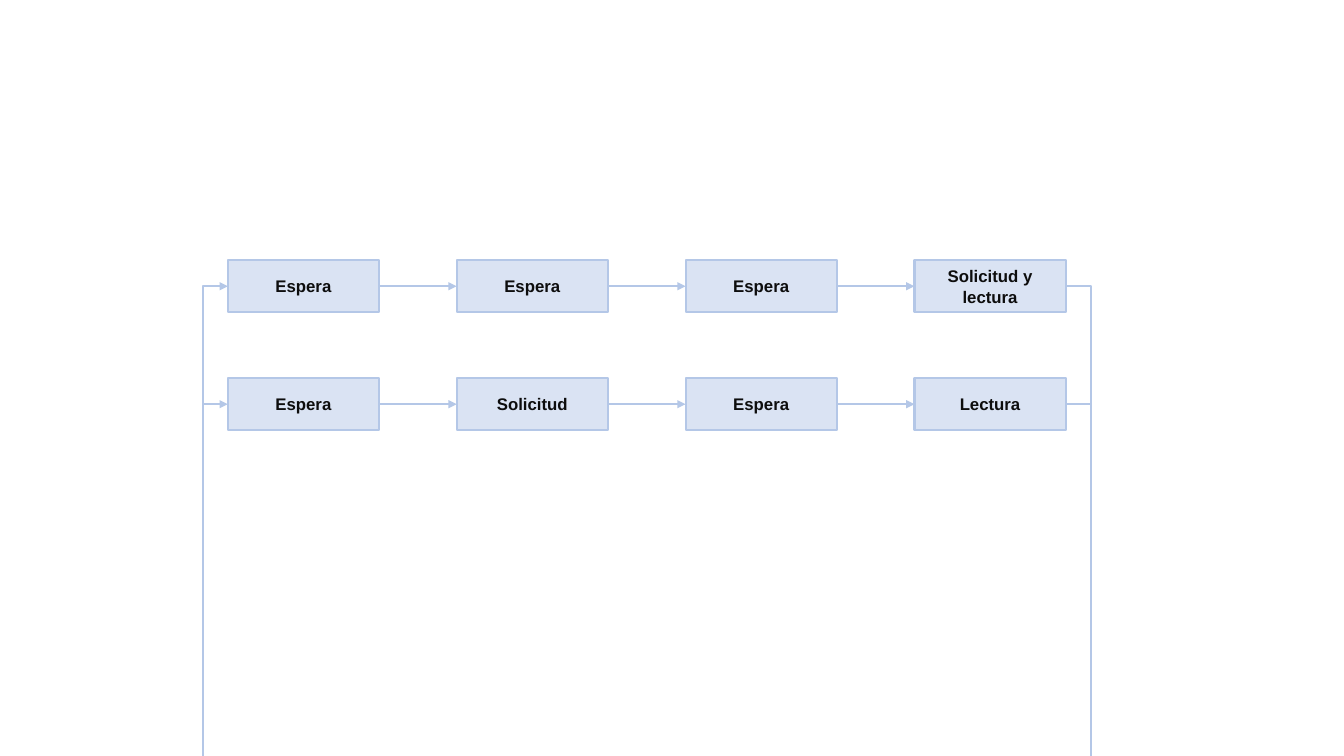
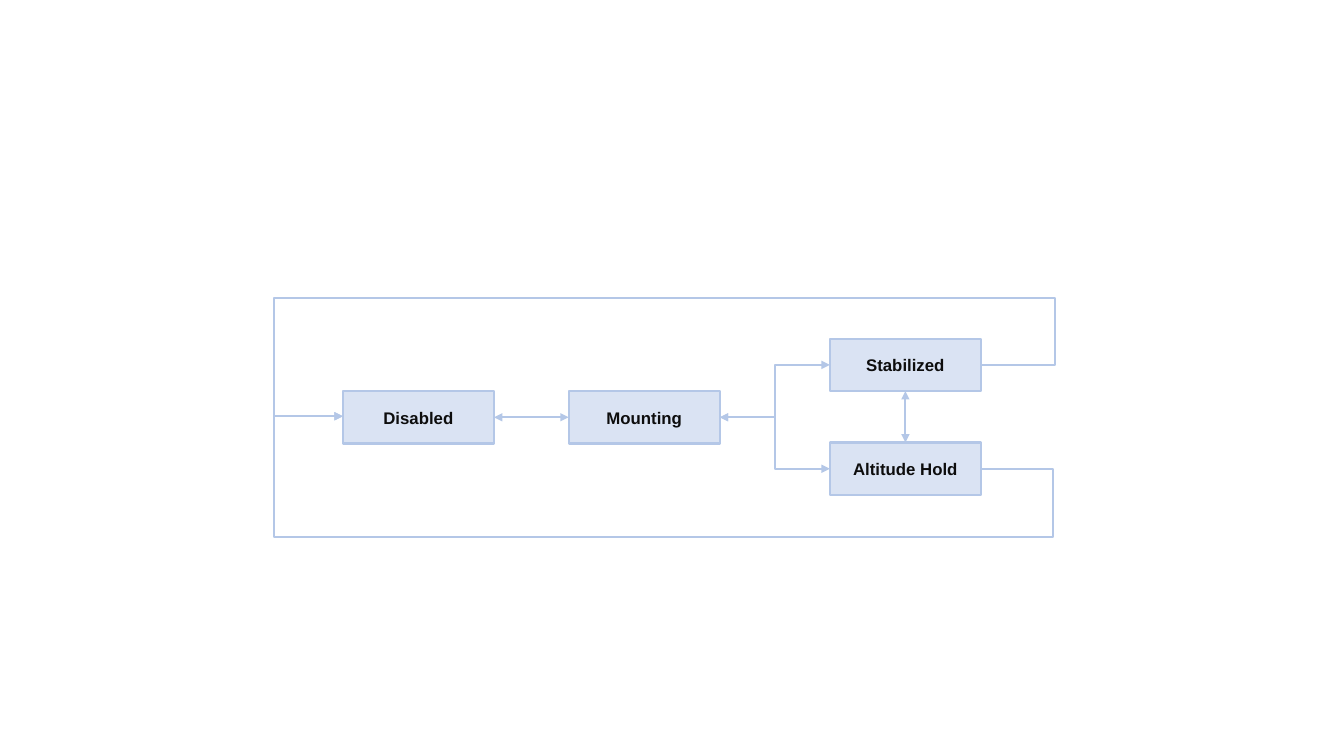
from itertools import pairwise

from lxml import etree
from pptx import Presentation
from pptx import util as u
from pptx.dml import color
from pptx.enum import shapes, text
from pptx.oxml import ns

COLORS = {"box": "DAE3F3", "line": "B4C7E7", "text": "0D0D0D"}
FONT = "Arial"
BOX_W, BOX_H = 1.5, 0.52
SLIDE_W, SLIDE_H = 13.33, 7.5
TOP, LEFT, BOTTOM, RIGHT = range(4)  # connection sites of a rectangle


def rgb(name):
    """Return a palette colour."""
    return color.RGBColor.from_string(COLORS[name])


def style_line(shape, *ends):
    """Apply the shared line, without shadow, and the given arrowheads."""
    shape.line.color.rgb = rgb("line")
    shape.line.width = u.Pt(1.5)
    properties = shape.element.spPr
    outline = properties.find(ns.qn("a:ln"))
    for end in ends:
        etree.SubElement(outline, ns.qn(f"a:{end}"), type="triangle")
    etree.SubElement(properties, ns.qn("a:effectLst"))


def add_state(slide, label, left, top):
    """Add a labelled state box."""
    state = slide.shapes.add_shape(
        shapes.MSO_SHAPE.RECTANGLE,
        *(u.Inches(n) for n in (left, top, BOX_W, BOX_H)))
    state.fill.solid()
    state.fill.fore_color.rgb = rgb("box")
    style_line(state)
    frame = state.text_frame
    frame.word_wrap = True
    frame.vertical_anchor = text.MSO_ANCHOR.MIDDLE
    frame.text = label
    paragraph = frame.paragraphs[0]
    paragraph.alignment = text.PP_ALIGN.CENTER
    font = paragraph.runs[0].font
    font.name, font.size, font.bold = FONT, u.Pt(12), True
    font.color.rgb = rgb("text")
    return state


def link(slide, source, target, sites=(RIGHT, LEFT), both=False, bent=False):
    """Connect two states with an arrow, one-way or two-way."""
    kind = shapes.MSO_CONNECTOR.ELBOW if bent else shapes.MSO_CONNECTOR.STRAIGHT
    arrow = slide.shapes.add_connector(kind, 0, 0, 0, 0)
    arrow.begin_connect(source, sites[0])
    arrow.end_connect(target, sites[1])
    style_line(arrow, *(("headEnd", "tailEnd") if both else ("tailEnd",)))


def add_route(slide, points, *ends):
    """Draw an open route with several corners."""
    start, *corners = [(u.Inches(x), u.Inches(y)) for x, y in points]
    builder = slide.shapes.build_freeform(*start)
    builder.add_line_segments(corners, close=False)
    route = builder.convert_to_shape()
    route.fill.background()
    style_line(route, *ends)


def build_sequences(slide):
    """Draw two request cycles that leave and re-enter at the slide's foot."""
    left, step, margin = 2.26, 2.27, 0.25
    right = left + 3 * step + BOX_W
    cycles = {
        2.58: ("Espera", "Espera", "Espera", "Solicitud y lectura"),
        3.75: ("Espera", "Solicitud", "Espera", "Lectura"),
    }
    for top, labels in cycles.items():
        states = [add_state(slide, label, left + i * step, top)
                  for i, label in enumerate(labels)]
        for source, target in pairwise(states):
            link(slide, source, target)
        middle = top + BOX_H / 2
        add_route(slide, [(right, middle), (right + margin, middle),
                          (right + margin, SLIDE_H)])
        add_route(slide, [(left - margin, SLIDE_H), (left - margin, middle),
                          (left, middle)], "tailEnd")


def build_flight_modes(slide):
    """Draw the flight modes and their transitions."""
    disabled_left, mode_left, middle = 3.4, 8.23, 4.13
    disabled = add_state(slide, "Disabled", disabled_left, 3.88)
    mounting = add_state(slide, "Mounting", 5.64, 3.88)
    stabilized = add_state(slide, "Stabilized", mode_left, 3.36)
    altitude = add_state(slide, "Altitude Hold", mode_left, 4.39)
    link(slide, disabled, mounting, both=True)
    for mode in (stabilized, altitude):
        link(slide, mounting, mode, both=True, bent=True)
    link(slide, stabilized, altitude, (BOTTOM, TOP), both=True)

    for exit_y, outer_x, outer_y in ((3.62, 10.46, 2.96), (4.65, 10.44, 5.33)):
        add_route(slide, [(mode_left + BOX_W, exit_y), (outer_x, exit_y),
                          (outer_x, outer_y), (2.72, outer_y),
                          (2.72, middle), (disabled_left, middle)], "tailEnd")


def main():
    """Build and save the presentation."""
    deck = Presentation()
    deck.slide_width, deck.slide_height = u.Inches(SLIDE_W), u.Inches(SLIDE_H)
    blank = deck.slide_layouts[6]
    for build in (build_sequences, build_flight_modes):
        build(deck.slides.add_slide(blank))
    deck.save("out.pptx")


main()
